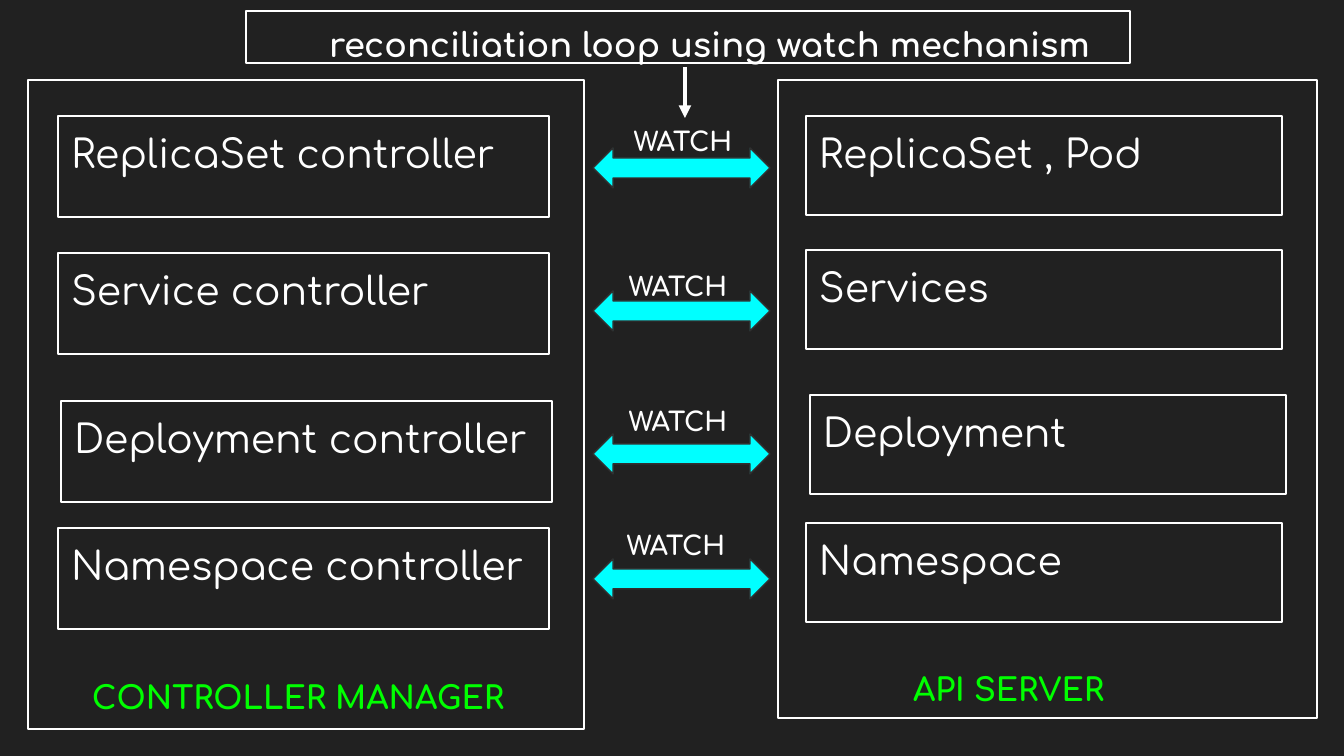
"""Build the slide on controllers watching the API server."""
from lxml import etree
from pptx import Presentation
from pptx.dml.color import RGBColor
from pptx.enum.shapes import MSO_CONNECTOR as CONN, MSO_SHAPE as SHAPE
from pptx.enum.text import MSO_ANCHOR, MSO_AUTO_SIZE, PP_ALIGN
from pptx.oxml.ns import qn
from pptx.util import Emu, Pt

SCALE = 914400 / 134.4
WHITE, GREEN, CYAN = "FFFFFF", "00FF00", "00FFFF"
BACKGROUND, ARROW_LINE = "212121", "303030"


def paint(fmt, color):
    fmt.solid()
    fmt.fore_color.rgb = RGBColor.from_string(color)


def write(sp, text, size, color=WHITE, bold=False):
    tf = sp.text_frame
    tf.text = text
    tf.word_wrap = True
    tf.auto_size = MSO_AUTO_SIZE.NONE
    tf.vertical_anchor = MSO_ANCHOR.TOP
    tf.margin_left = tf.margin_right = tf.margin_top = tf.margin_bottom = px(13)
    p = tf.paragraphs[0]
    p.alignment = PP_ALIGN.LEFT
    font = p.runs[0].font
    font.name, font.size, font.bold = "Comfortaa", Pt(size), bold
    paint(font.fill, color)


px = lambda n: Emu(round(n * SCALE))

prs = Presentation()
prs.slide_width, prs.slide_height = px(1344), px(756)
s = prs.slides.add_slide(prs.slide_layouts[5])
paint(s.background.fill, BACKGROUND)

panels = [
    ((28, 80, 556, 649), 491, 101, [
        (58, 116, "ReplicaSet controller"),
        (58, 253, "Service controller"),
        (61, 401, "Deployment controller"),
        (58, 528, "Namespace controller"),
    ]),
    ((778, 80, 539, 638), 476, 99, [
        (806, 116, "ReplicaSet , Pod"),
        (806, 250, "Services"),
        (810, 395, "Deployment"),
        (806, 523, "Namespace"),
    ]),
]
for frame, width, height, items in panels:
    group = s.shapes.add_group_shape()
    boxes = [(frame, "")] + [((x, y, width, height), text) for x, y, text in items]
    for area, text in boxes:
        sp = group.shapes.add_shape(SHAPE.RECTANGLE, *map(px, area))
        sp.shadow.inherit = False
        sp.fill.background()
        paint(sp.line.fill, WHITE)
        sp.line.width = Pt(0.75)
        if text:
            write(sp, text, 21)

for x, y, arrow_y in [(621, 112, 148), (616, 257, 291), (616, 392, 434), (614, 516, 559)]:
    label = s.shapes.add_textbox(px(x), px(y), px(149), px(52))
    write(label, "WATCH", 14, bold=True)
    arrow = s.shapes.add_shape(SHAPE.LEFT_RIGHT_ARROW, px(593), px(arrow_y), px(177), px(40))
    arrow.shadow.inherit = False
    paint(arrow.fill, CYAN)
    paint(arrow.line.fill, ARROW_LINE)
    arrow.line.width = Pt(0.75)

for x, y, width, text in [(900, 657, 353, "API SERVER"), (79, 665, 456, "CONTROLLER MANAGER")]:
    caption = s.shapes.add_textbox(px(x), px(y), px(width), px(52))
    write(caption, text, 17, GREEN, True)

title = s.shapes.title
title.left, title.top, title.width, title.height = map(px, (246, 11, 884, 52))
title.fill.background()
paint(title.line.fill, WHITE)
title.line.width = Pt(0.75)
write(title, "reconciliation loop using watch mechanism", 18, bold=True)
title.text_frame.margin_left = px(83)

pointer = s.shapes.add_connector(CONN.STRAIGHT, px(685), px(67), px(685), px(118))
paint(pointer.line.fill, WHITE)
pointer.line.width = Pt(2.25)
etree.SubElement(pointer.line._get_or_add_ln(), qn("a:tailEnd"), type="triangle")
etree.SubElement(pointer._element.spPr, qn("a:effectLst"))

prs.save("out.pptx")
